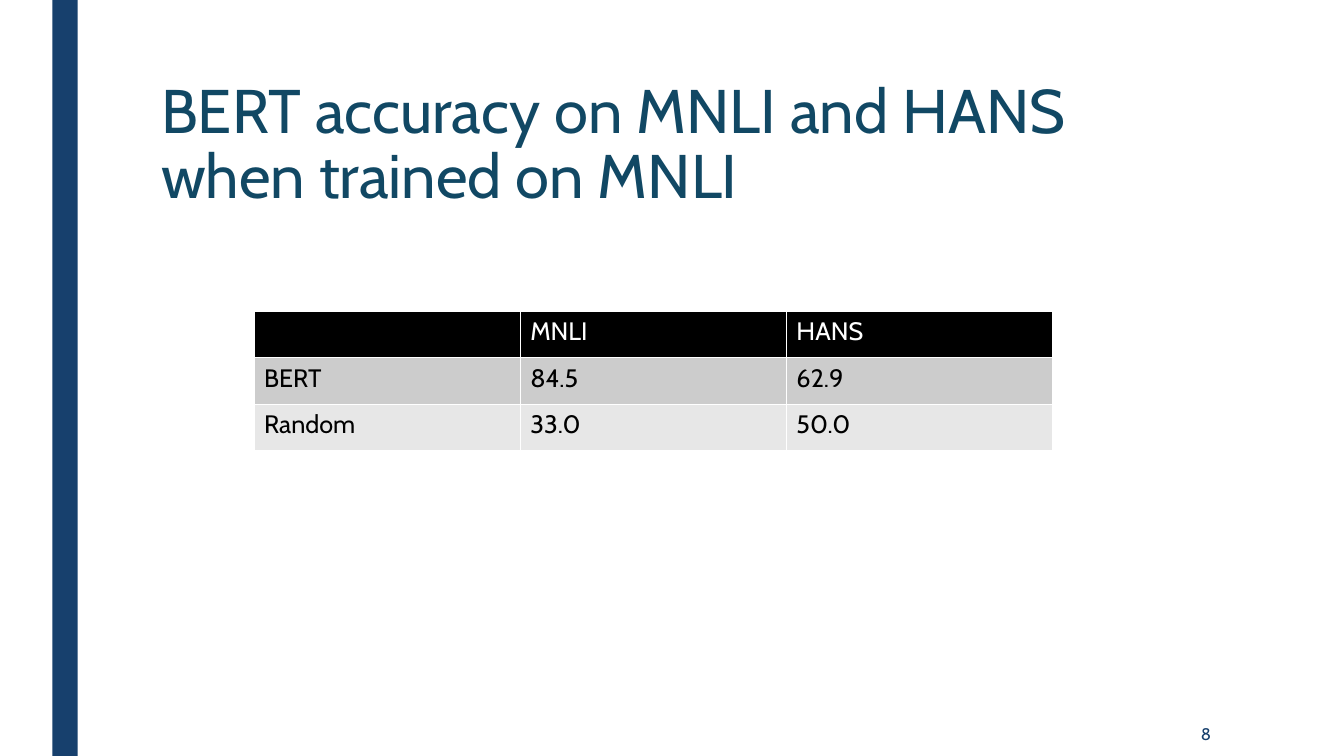
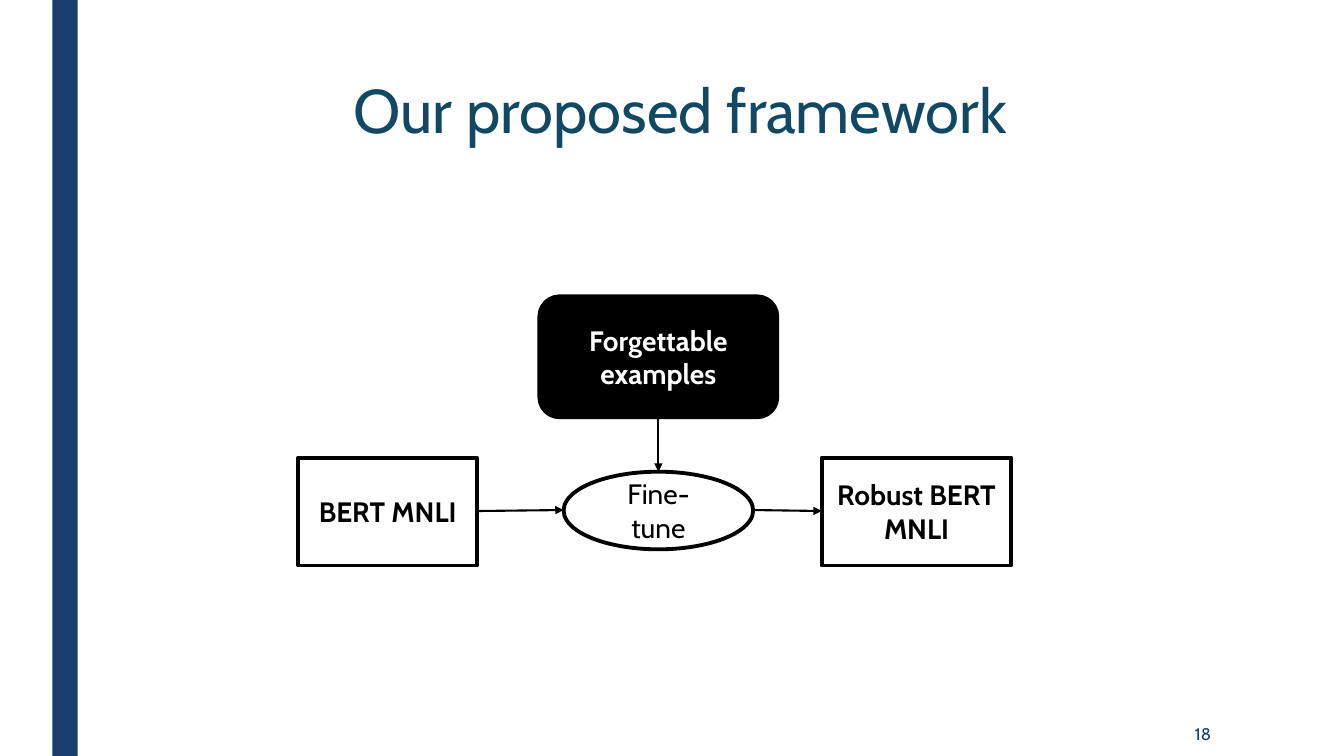
from dataclasses import dataclass

from lxml import etree
from pptx import Presentation
from pptx.dml.color import RGBColor
from pptx.enum import shapes, text
from pptx.oxml import ns
from pptx.oxml.xmlchemy import OxmlElement
from pptx.presentation import Presentation as Deck
from pptx.shapes.autoshape import Shape
from pptx.slide import Slide
from pptx.text.text import TextFrame
from pptx.util import Emu, Pt

EMU_PER_PX = 9144


@dataclass(frozen=True)
class Theme:
    font: str = "Cabin"
    band: str = "17406D"
    title: str = "114864"
    black: str = "000000"
    white: str = "FFFFFF"
    row_fills: tuple[str, ...] = ("CCCCCC", "E7E7E7")
    title_size: int = 44
    table_size: int = 18
    node_size: int = 20
    number_size: int = 12
    title_spacing: float = 0.89
    outline: float = 2.75
    arrow: float = 1.5
    cell_border: float = 1


THEME = Theme()


@dataclass(frozen=True)
class Box:
    left: int
    top: int
    width: int
    height: int

    @property
    def right(self) -> int:
        return self.left + self.width

    @property
    def bottom(self) -> int:
        return self.top + self.height

    @property
    def center(self) -> int:
        return self.left + self.width // 2

    @property
    def middle(self) -> int:
        return self.top + self.height // 2

    def emu(self) -> tuple[Emu, Emu, Emu, Emu]:
        return px(self.left), px(self.top), px(self.width), px(self.height)


@dataclass(frozen=True)
class Style:
    size: int
    color: str
    bold: bool = False
    align: text.PP_ALIGN = text.PP_ALIGN.LEFT
    anchor: text.MSO_ANCHOR = text.MSO_ANCHOR.TOP
    spacing: float = 1.0


@dataclass(frozen=True)
class Node:
    label: str
    box: Box
    kind: shapes.MSO_SHAPE = shapes.MSO_SHAPE.RECTANGLE
    fill: str = THEME.white
    color: str = THEME.black
    bold: bool = True


@dataclass(frozen=True)
class Arrow:
    start: tuple[int, int]
    end: tuple[int, int]


PAGE = Box(0, 0, 1333, 750)
BAND = Box(52, 0, 25, PAGE.height)
TITLE = Box(150, 75, 1050, 162)
NUMBER = Box(1036, 706, 175, 44)
TABLE = Box(252, 309, 792, 138)

ACCURACY = (
    ("", "MNLI", "HANS"),
    ("BERT", "84.5", "62.9"),
    ("Random", "33.0", "50.0"),
)

BASE_MODEL = Node("BERT MNLI", Box(296, 454, 177, 107))
ROBUST_MODEL = Node("Robust BERT MNLI", Box(815, 454, 188, 107))
FINE_TUNE = Node(
    "Fine-tune",
    Box(559, 468, 188, 77),
    shapes.MSO_SHAPE.FLOWCHART_CONNECTOR,
    bold=False,
)
EXAMPLES = Node(
    "Forgettable examples",
    Box(535, 294, 236, 120),
    shapes.MSO_SHAPE.ROUNDED_RECTANGLE,
    THEME.black,
    THEME.white,
)


def px(length: int) -> Emu:
    return Emu(length * EMU_PER_PX)


def rgb(color: str) -> RGBColor:
    return RGBColor.from_string(color)


def write(frame: TextFrame, words: str, style: Style) -> None:
    frame.word_wrap = True
    frame.vertical_anchor = style.anchor
    paragraph = frame.paragraphs[0]
    paragraph.text = words
    paragraph.alignment = style.align
    paragraph.line_spacing = style.spacing
    font = paragraph.font
    font.name = THEME.font
    font.size = Pt(style.size)
    font.bold = style.bold
    font.color.rgb = rgb(style.color)


def add_text(slide: Slide, box: Box, words: str, style: Style) -> None:
    write(slide.shapes.add_textbox(*box.emu()).text_frame, words, style)


def add_filled(slide: Slide, kind: shapes.MSO_SHAPE, box: Box, fill: str) -> Shape:
    shape = slide.shapes.add_shape(kind, *box.emu())
    shape.shadow.inherit = False
    shape.fill.solid()
    shape.fill.fore_color.rgb = rgb(fill)
    shape.line.fill.background()
    return shape


def add_framed_slide(
    presentation: Deck,
    title: str,
    number: int,
    align: text.PP_ALIGN = text.PP_ALIGN.LEFT,
) -> Slide:
    slide = presentation.slides.add_slide(presentation.slide_layouts[6])
    add_filled(slide, shapes.MSO_SHAPE.RECTANGLE, BAND, THEME.band)
    title_style = Style(
        THEME.title_size, THEME.title, align=align, spacing=THEME.title_spacing
    )
    number_style = Style(
        THEME.number_size,
        THEME.band,
        align=text.PP_ALIGN.RIGHT,
        anchor=text.MSO_ANCHOR.MIDDLE,
    )
    add_text(slide, TITLE, title, title_style)
    add_text(slide, NUMBER, str(number), number_style)
    return slide


def add_cell_borders(properties: etree.ElementBase) -> None:
    for side in ("lnL", "lnR", "lnT", "lnB"):
        line = OxmlElement(f"a:{side}")
        line.set("w", str(Pt(THEME.cell_border)))
        fill = etree.SubElement(line, ns.qn("a:solidFill"))
        etree.SubElement(fill, ns.qn("a:srgbClr"), val=THEME.white)
        properties.append(line)


def add_table(slide: Slide, box: Box, rows: tuple[tuple[str, ...], ...]) -> None:
    table = slide.shapes.add_table(len(rows), len(rows[0]), *box.emu()).table
    fills = (THEME.black, *THEME.row_fills)
    for row_index, (row, fill) in enumerate(zip(rows, fills)):
        color = THEME.black if row_index else THEME.white
        for column_index, words in enumerate(row):
            cell = table.cell(row_index, column_index)
            add_cell_borders(cell._tc.get_or_add_tcPr())
            cell.fill.solid()
            cell.fill.fore_color.rgb = rgb(fill)
            write(cell.text_frame, words, Style(THEME.table_size, color))


def add_node(slide: Slide, node: Node) -> None:
    shape = add_filled(slide, node.kind, node.box, node.fill)
    shape.line.color.rgb = rgb(THEME.black)
    shape.line.width = Pt(THEME.outline)
    style = Style(
        THEME.node_size,
        node.color,
        node.bold,
        text.PP_ALIGN.CENTER,
        text.MSO_ANCHOR.MIDDLE,
    )
    write(shape.text_frame, node.label, style)


def add_arrow(slide: Slide, arrow: Arrow) -> None:
    ends = (px(length) for length in (*arrow.start, *arrow.end))
    connector = slide.shapes.add_connector(shapes.MSO_CONNECTOR.STRAIGHT, *ends)
    connector.line.color.rgb = rgb(THEME.black)
    connector.line.width = Pt(THEME.arrow)
    line = connector.line._get_or_add_ln()
    etree.SubElement(line, ns.qn("a:tailEnd"), type="triangle")
    etree.SubElement(connector._element.spPr, ns.qn("a:effectLst"))


def build_accuracy(presentation: Deck) -> None:
    title = "BERT accuracy on MNLI and HANS when trained on MNLI"
    slide = add_framed_slide(presentation, title, 8)
    add_table(slide, TABLE, ACCURACY)


def build_framework(presentation: Deck) -> None:
    slide = add_framed_slide(
        presentation, "Our proposed framework", 18, text.PP_ALIGN.CENTER
    )
    for node in (BASE_MODEL, ROBUST_MODEL, FINE_TUNE, EXAMPLES):
        add_node(slide, node)
    base, robust = BASE_MODEL.box, ROBUST_MODEL.box
    tune, examples = FINE_TUNE.box, EXAMPLES.box
    for arrow in (
        Arrow((base.right, base.middle), (tune.left, tune.middle)),
        Arrow((tune.right, tune.middle), (robust.left, robust.middle)),
        Arrow((examples.center, examples.bottom), (tune.center, tune.top)),
    ):
        add_arrow(slide, arrow)


def main() -> None:
    presentation = Presentation()
    presentation.slide_width = px(PAGE.width)
    presentation.slide_height = px(PAGE.height)
    build_accuracy(presentation)
    build_framework(presentation)
    presentation.save("out.pptx")


if __name__ == "__main__":
    main()
